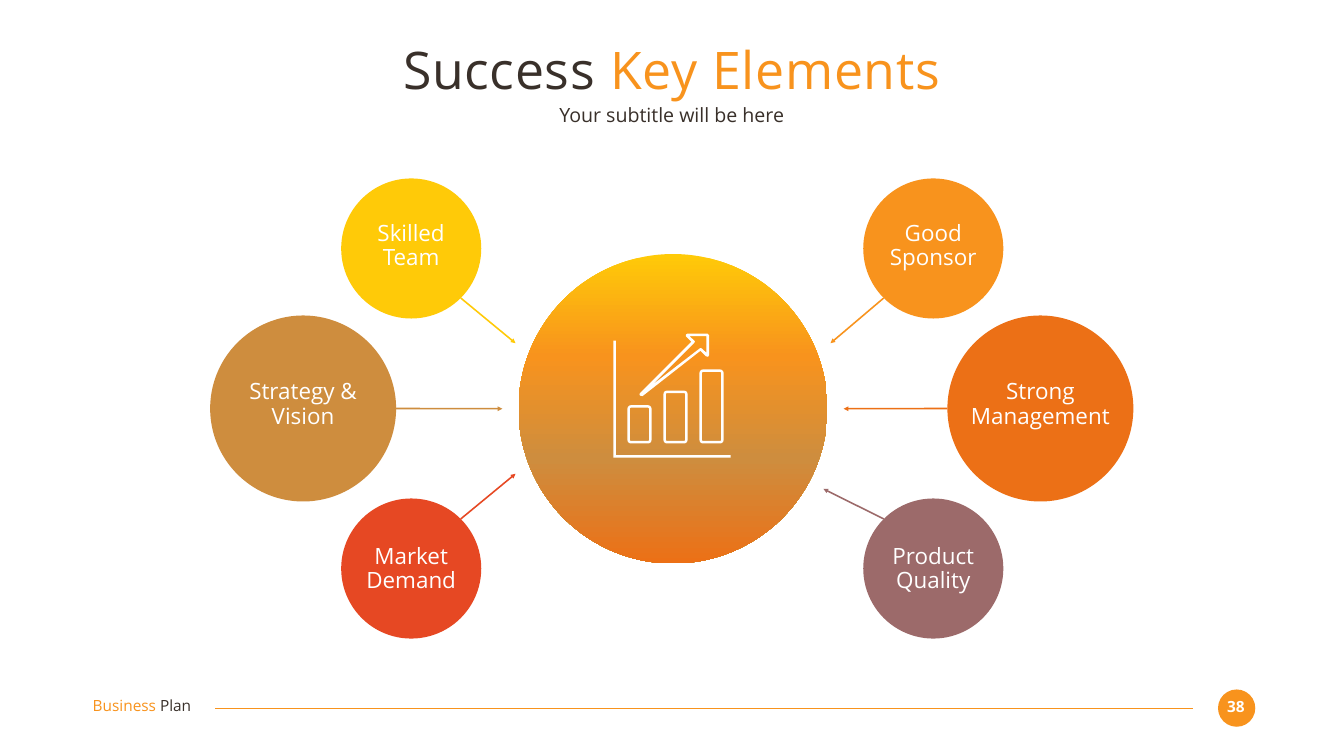
import math
from copy import deepcopy

from lxml import etree
from pptx import Presentation
from pptx.dml.color import RGBColor
from pptx.enum.shapes import MSO_CONNECTOR, MSO_SHAPE
from pptx.enum.text import MSO_ANCHOR, PP_ALIGN
from pptx.oxml.ns import qn
from pptx.util import Inches, Pt

OVAL = MSO_SHAPE.OVAL
STRAIGHT = MSO_CONNECTOR.STRAIGHT
MIDDLE = MSO_ANCHOR.MIDDLE
LEFT, CENTER = PP_ALIGN.LEFT, PP_ALIGN.CENTER

FONT = "Open Sans"
COLORS = {
    "white": "FFFFFF", "dark": "39302A", "orange": "F8931D", "yellow": "FFCA08",
    "tan": "CE8D3E", "red": "E64823", "deep": "EC7016", "mauve": "9C6A6A",
}

# text lines, circle left, top, size, colour, arrow angle, arrow tip, label top
ELEMENTS = [
    (["Skilled Team"], 6.77, 3.54, 2.78, "yellow", 45, (10.23, 6.81), 4.34),
    (["Strategy & Vision"], 4.17, 6.26, 3.69, "tan", 0, (9.97, 8.11), 7.49),
    (["Market Demand"], 6.77, 9.89, 2.78, "red", -45, (10.23, 9.4), 10.75),
    (["Good Sponsor"], 17.13, 3.54, 2.78, "orange", 135, (16.48, 6.81), 4.34),
    (["Strong", "Management"], 18.8, 6.26, 3.69, "deep", 180, (16.74, 8.11), 7.49),
    (["Product Quality"], 17.13, 9.89, 2.78, "mauve", 225, (16.34, 9.7), 10.75),
]


def rgb(name):
    return RGBColor.from_string(COLORS[name])


def add_text(s, box, paragraphs, size, align=CENTER, bold=False, spacing=0.9, track=0):
    """Each paragraph is a list of (text, colour) runs; track is in points."""
    tf = s.shapes.add_textbox(*map(Inches, box)).text_frame
    tf.word_wrap = True
    tf.vertical_anchor = MIDDLE
    tf.margin_left = tf.margin_right = tf.margin_top = tf.margin_bottom = 0
    for i, runs in enumerate(paragraphs):
        p = tf.add_paragraph() if i else tf.paragraphs[0]
        p.alignment = align
        p.line_spacing = spacing
        for text, color in runs:
            r = p.add_run()
            r.text = text
            r.font.name, r.font.size, r.font.bold = FONT, Pt(size), bold
            r.font.color.rgb = rgb(color)
            if track:
                r.font._element.set("spc", str(track * 100))


def add_circle(s, box, color):
    sp = s.shapes.add_shape(OVAL, *map(Inches, box))
    sp.shadow.inherit = False
    sp.fill.solid()
    sp.fill.fore_color.rgb = rgb(color)
    sp.line.fill.background()
    return sp


def add_line(s, start, end, color, width, arrow=False):
    line = s.shapes.add_connector(STRAIGHT, *map(Inches, (*start, *end)))
    line.line.color.rgb = rgb(color)
    line.line.width = Pt(width)
    if arrow:
        etree.SubElement(line.line._get_or_add_ln(), qn("a:tailEnd"), type="triangle")
    etree.SubElement(line._element.spPr, qn("a:effectLst"))


def add_header(s, left, top, width):
    title = [("Success ", "dark"), ("Key Elements", "orange")]
    add_text(s, (left, top, width, 1.27), [title], 74, spacing=1, track=1)
    add_text(s, (left, top + 1.3, width, 0.49),
             [[("Your subtitle will be here", "dark")]], 28, spacing=1)


def add_footer(s, left, top):
    add_text(s, (left, top + 0.16, 2.59, 0.37),
             [[("Business ", "orange"), ("Plan", "dark")]], 22, align=LEFT)
    add_line(s, (left + 21.83, top + 0.37), (left + 2.43, top + 0.37), "orange", 1.5)
    add_circle(s, (left + 22.33, top, 0.74, 0.74), "orange")
    add_text(s, (left + 22.39, top + 0.17, 0.59, 0.37), [[("38", "white")]], 22, bold=True)


def add_element(s, lines, left, top, size, color, angle, tip, label_top):
    """Circle with a label and an arrow leaving its rim at the given angle."""
    radius = size / 2
    cx, cy = left + radius, top + radius
    a = math.radians(angle)
    add_circle(s, (left, top, size, size), color)
    add_line(s, (cx + radius * math.cos(a), cy + radius * math.sin(a)), tip, color, 2.25, True)
    width = 2.91 if len(lines) > 1 else 2.23
    add_text(s, (cx - width / 2, label_top, width, 1.08),
             [[(text, "white")] for text in lines], 32)


def rounded_rect(x, y, w, h, radius):
    """Corner points of a rounded rectangle, clockwise from the left side."""
    corners = [(x + radius, y + radius, 180), (x + w - radius, y + radius, 270),
               (x + w - radius, y + h - radius, 0), (x + radius, y + h - radius, 90)]
    return [(cx + radius * math.cos(math.radians(start + step)),
             cy + radius * math.sin(math.radians(start + step)))
            for cx, cy, start in corners for step in (0, 30, 60, 90)]


def add_chart_icon(s, left, top):
    stroke = 0.05
    axes = [(0, 0.14), (0.05, 0.14), (0.05, 2.41), (2.33, 2.41), (2.33, 2.46), (0, 2.46)]
    arrow_outer = [(0.52, 1.2), (0.53, 1.18), (1.55, 0.16), (1.44, 0.05), (1.44, 0.02),
                   (1.47, 0), (1.87, 0), (1.9, 0.03), (1.9, 0.43), (1.88, 0.46),
                   (1.84, 0.45), (1.73, 0.34), (0.58, 1.24), (0.53, 1.23)]
    arrow_inner = [(0.77, 1.02), (1.72, 0.29), (1.75, 0.29), (1.85, 0.38), (1.85, 0.05),
                   (1.51, 0.05), (1.61, 0.14), (1.62, 0.16), (1.61, 0.18)]
    contours = [axes, arrow_outer, arrow_inner]
    for i, bar_top in enumerate((1.42, 1.13, 0.71)):
        x, h = 0.28 + i * 0.715, 2.18 - bar_top
        contours.append(rounded_rect(x, bar_top, 0.48, h, 0.07))
        contours.append(rounded_rect(x + stroke, bar_top + stroke,
                                     0.48 - 2 * stroke, h - 2 * stroke, 0.02))
    contours = [[(Inches(left + x), Inches(top + y)) for x, y in c] for c in contours]
    fb = s.shapes.build_freeform(*contours[0][0])
    fb.add_line_segments(contours[0][1:])
    for contour in contours[1:]:
        fb.move_to(*contour[0])
        fb.add_line_segments(contour[1:])
    sp = fb.convert_to_shape()
    sp.shadow.inherit = False
    sp.fill.solid()
    sp.fill.fore_color.rgb = rgb("white")
    sp.line.fill.background()


def add_hub(s, left, top, width, height):
    sp = add_circle(s, (left, top, width, height), "orange")
    sp.fill.gradient()
    sp.fill.gradient_angle = 270
    stops = sp._element.spPr.find(qn("a:gradFill")).find(qn("a:gsLst"))
    for _ in range(2):
        stops.append(deepcopy(stops[0]))
    palette = [(0, "yellow"), (0.33, "orange"), (0.66, "tan"), (1, "deep")]
    for stop, (position, color) in zip(sp.fill.gradient_stops, palette):
        stop.position = position
        stop.color.rgb = rgb(color)
    add_chart_icon(s, left + 1.88, top + 1.58)


def main():
    prs = Presentation()
    prs.slide_width, prs.slide_height = Inches(26.67), Inches(15)
    s = prs.slides.add_slide(prs.slide_layouts[6])
    add_footer(s, 1.84, 13.68)
    add_header(s, 1.83, 0.73, 23)
    for element in ELEMENTS:
        add_element(s, *element)
    add_hub(s, 10.29, 5.04, 6.13, 6.14)
    prs.save("out.pptx")


if __name__ == "__main__":
    main()
